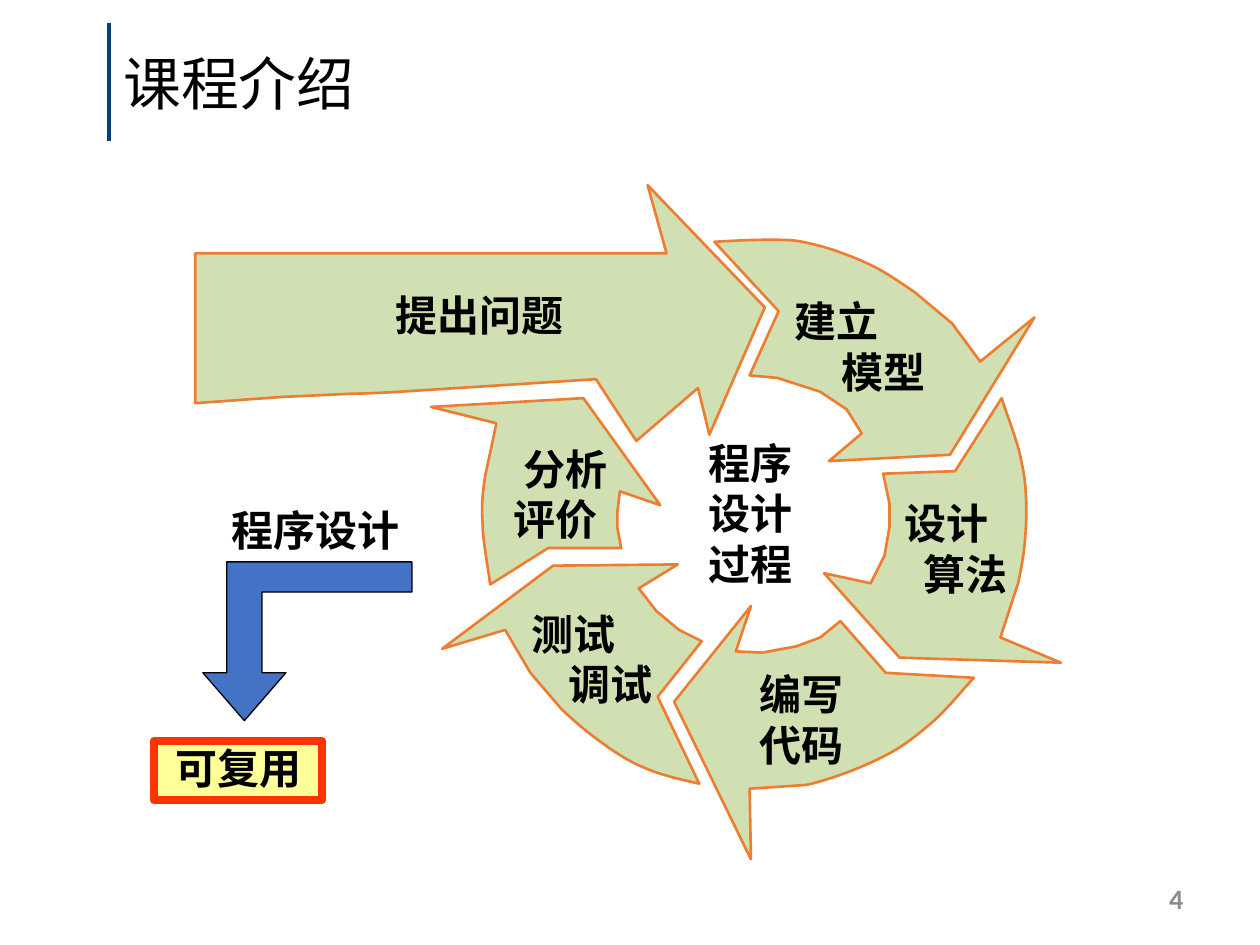
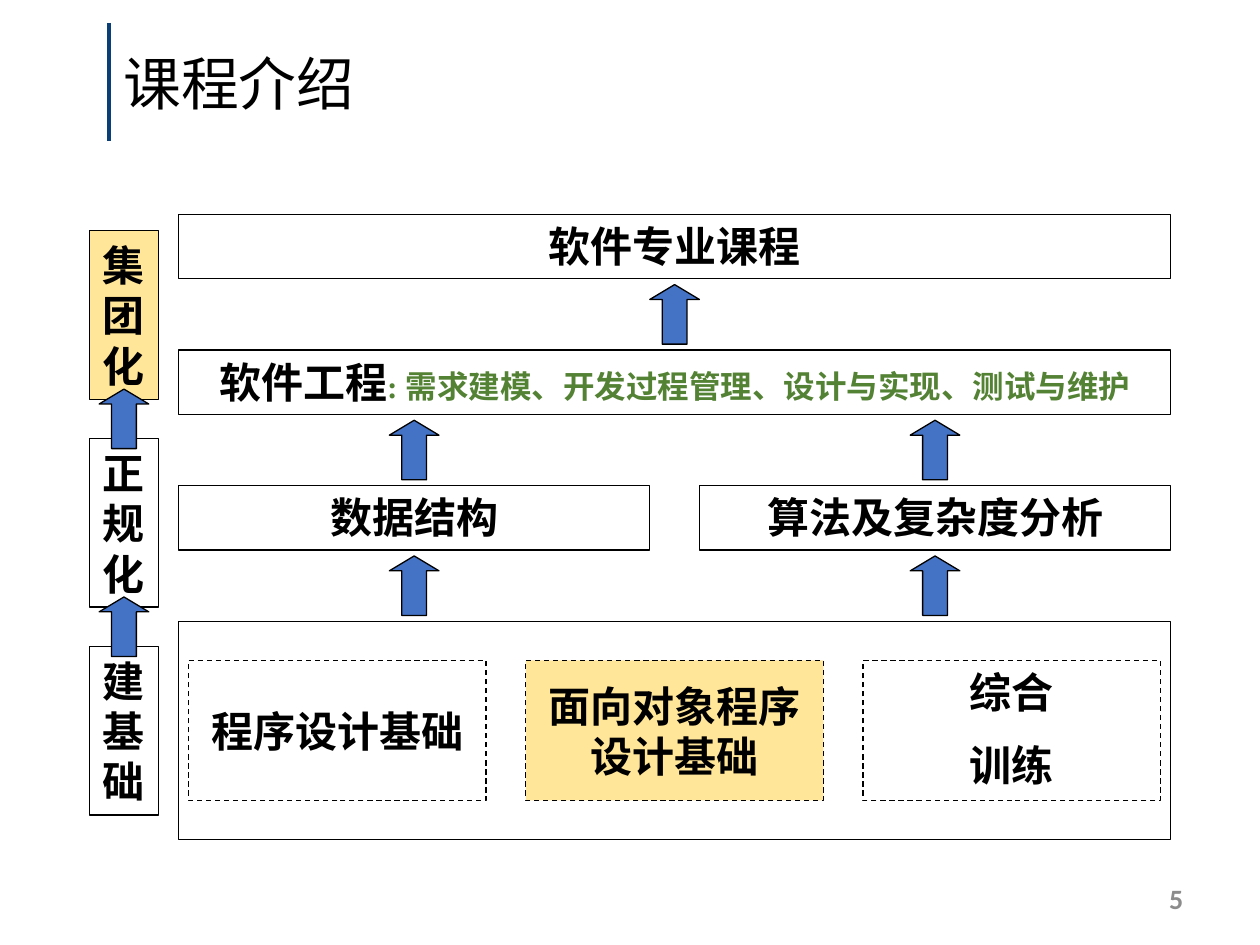
from dataclasses import dataclass

from lxml import etree
from pptx import Presentation
from pptx.dml.color import RGBColor
from pptx.enum.dml import MSO_LINE
from pptx.enum.shapes import MSO_CONNECTOR, MSO_SHAPE
from pptx.enum.text import MSO_ANCHOR, PP_ALIGN
from pptx.oxml.ns import qn
from pptx.util import Cm, Pt

LEFT, MID = PP_ALIGN.LEFT, PP_ALIGN.CENTER
TOP, CORE = MSO_ANCHOR.TOP, MSO_ANCHOR.MIDDLE
RECT, RISE = MSO_SHAPE.RECTANGLE, MSO_SHAPE.UP_ARROW
DASH = MSO_LINE.DASH


@dataclass(frozen=True)
class Theme:
    ink: str = "000000"
    navy: str = "0A3F76"
    gray: str = "8C8C8C"
    leaf: str = "D1E0B2"
    rust: str = "ED7D31"
    blue: str = "4472C4"
    gold: str = "FFE699"
    pale: str = "FFFF99"
    red: str = "FF3300"
    green: str = "548235"
    head: str = "Calibri"
    body: str = "Times New Roman"
    title: float = 33
    main: float = 24
    note: float = 18
    num: float = 16


T = Theme()

# ---- Content ----
TITLE = "课程介绍"
FIRST = 4

# Cycle outlines on a grid of 0.0254 cm: pairs are corners, sixes are curves
GRID = 0.0254
CYCLE = [
    [(567, 192), (618, 247), (595, 298), (617, 300), (651, 311), (672, 325),
     (684, 344), (658, 366), (754, 361), (821, 252), (778, 287), (758, 260),
     (756, 257), (726, 232), (714, 224, 702, 215, 686, 208),
     (670, 201, 651, 194, 631, 191), (611, 189, 567, 192, 567, 192)],
    [(795, 316), (758, 374), (701, 376), (706, 400), (706, 418), (702, 441),
     (691, 463), (654, 455), (714, 522), (842, 526), (794, 506), (808, 463),
     (811, 449, 813, 438, 814, 422), (815, 406, 815, 385, 811, 368),
     (808, 350, 798, 327, 795, 316)],
    [(773, 538), (703, 534), (667, 493), (651, 506), (632, 513), (605, 518),
     (584, 517), (596, 481), (535, 557), (596, 682), (595, 626), (640, 623),
     (658, 619, 682, 610, 698, 602), (715, 594, 726, 585, 739, 574),
     (751, 564, 766, 545, 773, 538)],
    [(555, 622), (522, 553), (557, 509), (539, 500), (521, 485), (507, 467),
     (538, 448), (439, 449), (351, 515), (401, 500), (421, 534), (445, 562),
     (454, 571, 466, 581, 477, 589), (488, 597, 500, 605, 513, 610),
     (526, 616, 555, 622, 555, 622)],
    [(389, 464), (435, 435), (493, 435), (490, 419), (490, 406), (492, 390),
     (524, 401), (463, 316), (342, 323), (394, 336), (385, 378),
     (383, 392, 382, 401, 383, 415), (383, 429, 388, 454, 389, 464)],
    [(155, 201), (529, 201), (514, 147), (607, 244), (563, 345), (554, 308),
     (505, 350), (473, 301), (316, 311), (283, 313, 285, 312, 269, 313),
     (225, 315), (155, 320)],
]
ELBOW = [(194, 572), (227, 534), (208, 534), (208, 470), (327, 470),
         (327, 446), (180, 446), (180, 534), (161, 534)]

# Left, top, width, height, lines, indents of the lines (None: centred)
STEPS = [
    (7.01, 5.72, 5.31, 1.27, ["提出问题"], None),
    (15.77, 5.84, 3.48, 2.3, ["建立", "模型"], (0, 0.95)),
    (17.98, 9.91, 3.07, 2.3, ["设计", "算法"], (0, 0.38)),
    (15.06, 13.36, 3.48, 2.3, ["编写", "代码"], (0, 0)),
    (10.46, 12.14, 3.48, 2.3, ["测试", "调试"], (0, 0.76)),
    (10.11, 8.81, 3.48, 2.3, ["分析", "评价"], (0.19, 0)),
    (12.47, 8.69, 5.31, 3.3, ["程序", "设计", "过程"], None),
]
GOAL = "可复用"
CAUSE = "程序设计"

MAJOR = "软件专业课程"
FIELD = ("软件工程", ": 需求建模、开发过程管理、设计与实现、测试与维护")
PAIR = ["数据结构", "算法及复杂度分析"]
# Lines, anchor, fill
BASE = [
    (["程序设计基础"], CORE, None),
    (["面向对象程序设计基础"], CORE, T.gold),
    (["综合", "训练"], TOP, None),
]
STAGES = [("集团化", T.gold), ("正规化", None), ("建基础", None)]


# ---- Helpers ----
def paint(shape, fill=None, edge=None, width=0.75, dash=None):
    shape.shadow.inherit = False
    if fill:
        shape.fill.solid()
        shape.fill.fore_color.rgb = RGBColor.from_string(fill)
    else:
        shape.fill.background()
    shape.line.color.rgb = RGBColor.from_string(edge or T.ink)
    shape.line.width = Pt(width)
    if dash:
        shape.line.dash_style = dash


def style(font, size=T.main, color=T.ink, face=T.body, bold=True):
    font.size, font.name, font.bold = Pt(size), face, bold
    font.color.rgb = RGBColor.from_string(color)


def write(shape, lines, anchor=TOP, align=MID, pads=None, gap=0,
          lead=None, tabs=None, **look):
    frame = shape.text_frame
    frame.word_wrap = True
    frame.vertical_anchor = anchor
    if pads is not None:
        frame.margin_left = frame.margin_right = Cm(pads)
        frame.margin_top = frame.margin_bottom = 0
    for i, line in enumerate(lines):
        para = frame.add_paragraph() if i else frame.paragraphs[0]
        para.text = line
        para.alignment = align
        if i and gap:
            para.space_before = Pt(gap)
        if lead:
            para.line_spacing = lead
        if tabs and tabs[i]:
            props = para._p.get_or_add_pPr()
            props.set("marL", str(Cm(tabs[i])))
            props.set("indent", "0")
        style(para.font, **look)


def label(slide, spot, lines, **opts):
    text = slide.shapes.add_textbox(*map(Cm, spot))
    write(text, lines, **opts)


def block(slide, spot, lines=(), fill=None, edge=None, width=0.75,
          dash=None, **opts):
    box = slide.shapes.add_shape(RECT, *map(Cm, spot))
    paint(box, fill, edge, width, dash)
    write(box, lines, **opts)
    return box


def trace(marks, steps=10):
    """Turn corners and cubic curves into a list of points."""
    points = [marks[0]]
    for mark in marks[1:]:
        if len(mark) == 2:
            points.append(mark)
            continue
        a, b, c, d = points[-1], mark[:2], mark[2:4], mark[4:]
        for k in range(1, steps + 1):
            t = k / steps
            s = 1 - t
            points.append(tuple(
                s**3 * a[n] + 3 * s * s * t * b[n] + 3 * s * t * t * c[n]
                + t**3 * d[n] for n in (0, 1)))
    return [(Cm(x * GRID), Cm(y * GRID)) for x, y in points]


def outline(slide, marks, fill, edge, width):
    points = trace(marks)
    pen = slide.shapes.build_freeform(*points[0])
    pen.add_line_segments(points[1:], close=True)
    paint(pen.convert_to_shape(), fill, edge, width)


def rise(slide, x, y, wide=1.0, high=1.2):
    """Draw an up arrow centred on x, y."""
    arrow = slide.shapes.add_shape(
        RISE, Cm(x - wide / 2), Cm(y - high / 2), Cm(wide), Cm(high))
    arrow.adjustments[0], arrow.adjustments[1] = 0.5, 0.3
    paint(arrow, T.blue)


def start(deck, num):
    """Add a slide with the shared rule, title and number."""
    slide = deck.slides.add_slide(deck.slide_layouts[6])
    rule = slide.shapes.add_connector(
        MSO_CONNECTOR.STRAIGHT, Cm(2.2), Cm(0.46), Cm(2.2), Cm(2.84))
    rule.line.color.rgb = RGBColor.from_string(T.navy)
    rule.line.width = Pt(2.25)
    etree.SubElement(rule._element.spPr, qn("a:effectLst"))
    label(slide, (2.24, 0.41, 21.9, 2.49), [TITLE], anchor=CORE, align=LEFT,
          size=T.title, face=T.head, bold=False)
    label(slide, (23.01, 17.6, 1.4, 1.02), [str(num)], anchor=CORE,
          size=T.num, face=T.head, color=T.gray)
    return slide


# ---- Slides ----
def cycle(deck):
    slide = start(deck, FIRST)
    for marks in CYCLE:
        outline(slide, marks, T.leaf, T.rust, 1.5)
    for *spot, lines, tabs in STEPS:
        label(slide, spot, lines, align=LEFT if tabs else MID, tabs=tabs)

    # Side branch
    tight = dict(anchor=CORE, pads=0.1, lead=0.95)
    block(slide, (3.1, 14.94, 3.4, 1.19), [GOAL], fill=T.pale, edge=T.red,
          width=4.5, **tight)
    outline(slide, ELBOW, T.blue, T.ink, 0.75)
    label(slide, (4.27, 10.13, 4.19, 1.19), [CAUSE], **tight)


def layers(deck):
    slide = start(deck, FIRST + 1)
    left, wide, high, gap = 3.6, 20, 1.3, 1
    tops = [4.32 + i * 2.735 for i in range(4)]
    half = (wide - gap) / 2
    cols = [left, left + half + gap]

    # Course rows
    block(slide, (left, tops[0], wide, high), [MAJOR])
    field = block(slide, (left, tops[1], wide, high), [FIELD[0]])
    run = field.text_frame.paragraphs[0].add_run()
    run.text = FIELD[1]
    style(run.font, T.note, T.green)
    for x, name in zip(cols, PAIR):
        block(slide, (x, tops[2], half, high), [name])

    # Base row
    deep, side, tall, pad = 4.4, 6, 2.82, 0.2
    block(slide, (left, tops[3], wide, deep))
    pitch = (wide - 2 * pad - side) / (len(BASE) - 1)
    for i, (lines, anchor, fill) in enumerate(BASE):
        spot = (left + pad + i * pitch, tops[3] + (deep - tall) / 2, side, tall)
        block(slide, spot, lines, fill=fill, dash=DASH, anchor=anchor, gap=13)

    # Arrows centred in the gaps between rows
    mids = [x + half / 2 for x in cols]
    for i, spots in enumerate([[left + wide / 2], mids, mids]):
        for x in spots:
            rise(slide, x, (tops[i] + high + tops[i + 1]) / 2)

    # Stages
    edge, top, slim, long, step = 1.8, 4.65, 1.4, 3.4, 4.19
    for i, (name, fill) in enumerate(STAGES):
        block(slide, (edge, top + i * step, slim, long), list(name),
              fill=fill, anchor=CORE, pads=0)
    for i in range(1, len(STAGES)):
        rise(slide, edge + slim / 2, top + i * step - (step - long) / 2)


def main():
    deck = Presentation()
    deck.slide_width, deck.slide_height = Cm(25.4), Cm(19.05)
    cycle(deck)
    layers(deck)
    deck.save("out.pptx")


if __name__ == "__main__":
    main()
